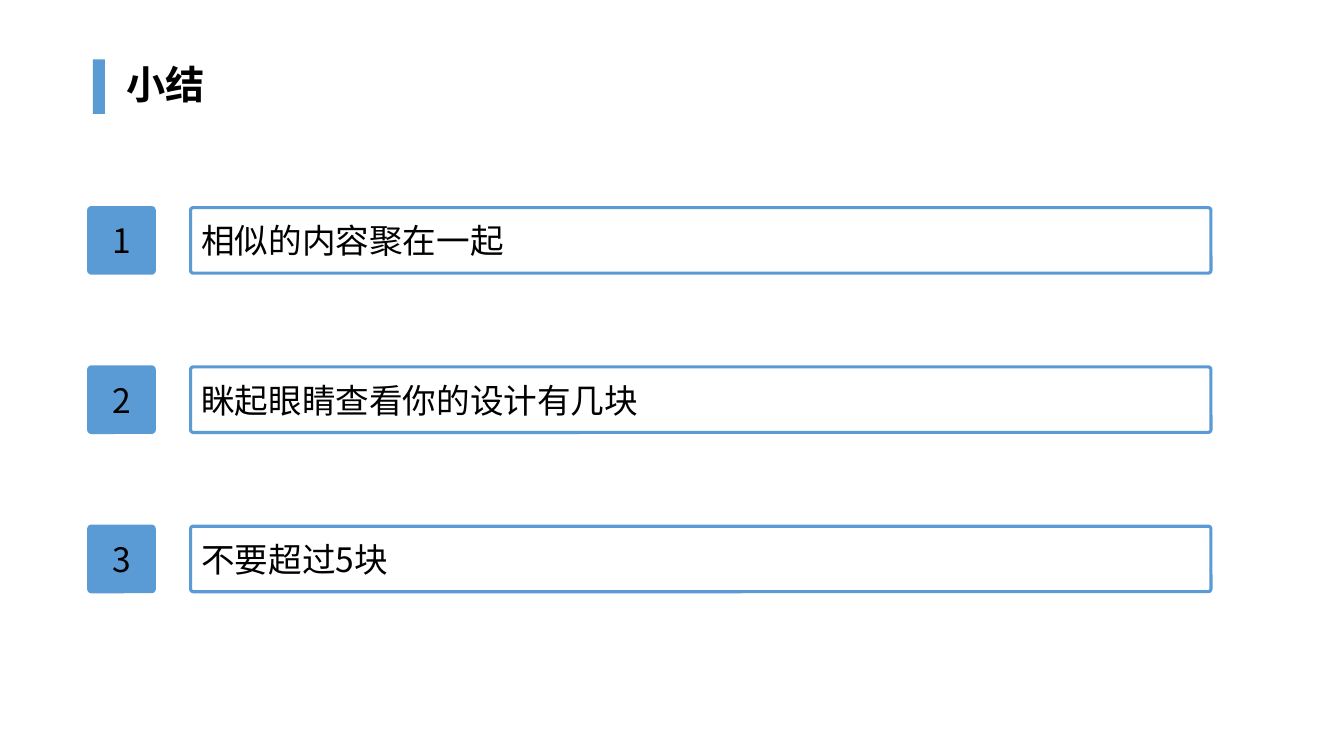
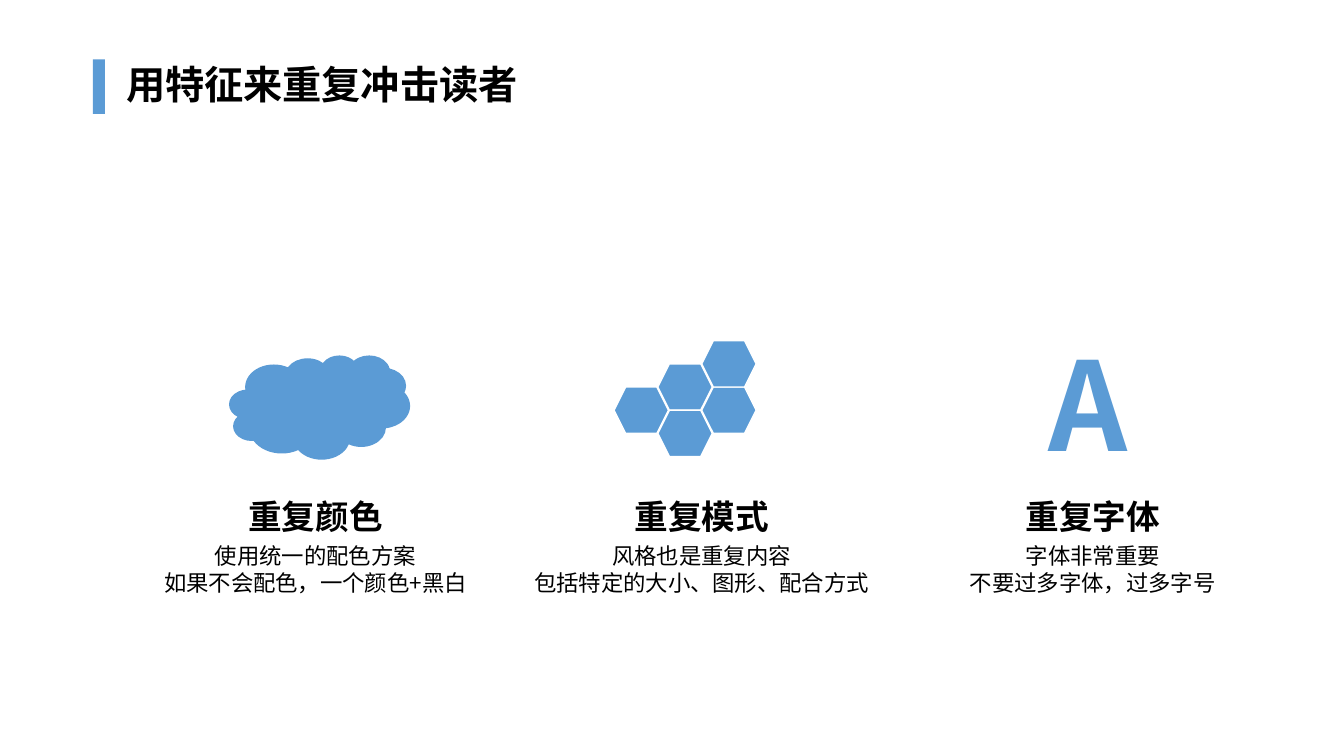
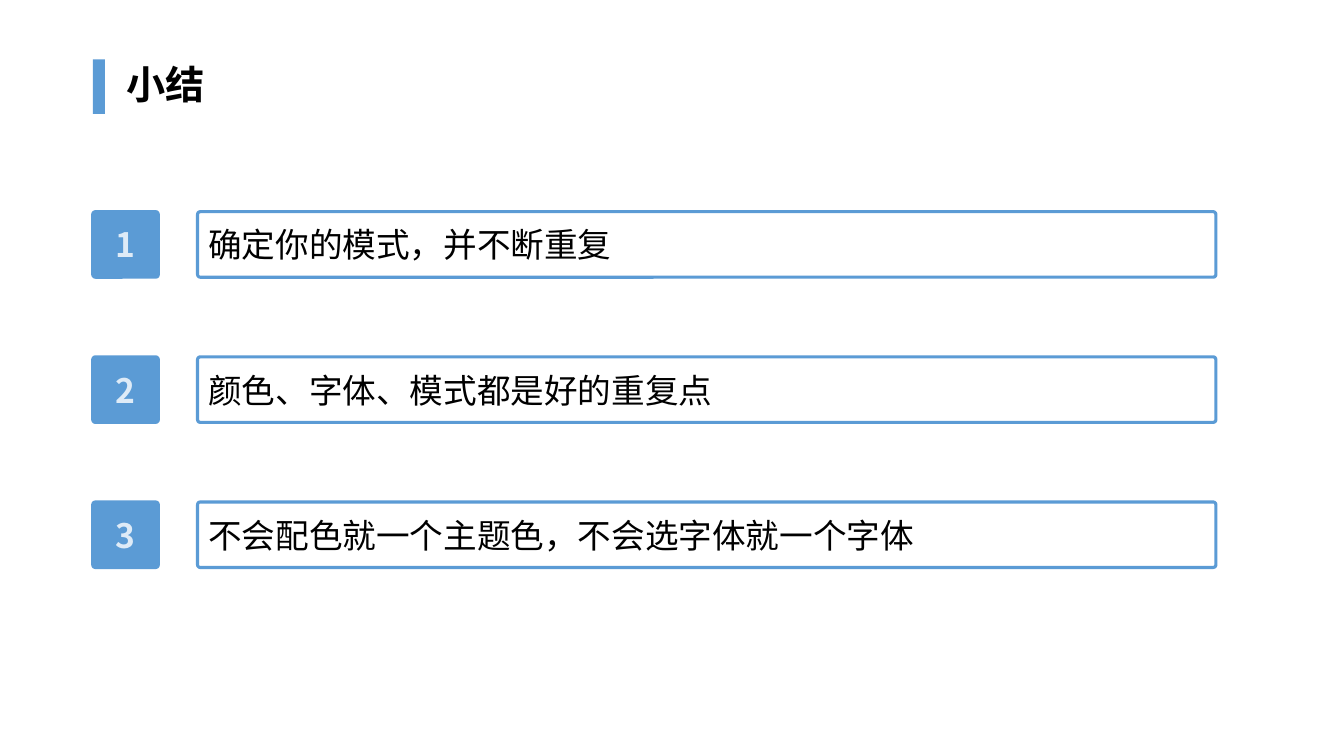
from lxml.etree import SubElement
from pptx import Presentation
from pptx.dml.color import RGBColor
from pptx.enum.shapes import MSO_SHAPE as Shape
from pptx.enum.text import MSO_ANCHOR as Anchor, MSO_AUTO_SIZE as Fit, PP_ALIGN as Align
from pptx.oxml.ns import qn
from pptx.util import Inches, Pt

FONT = "Noto Sans CJK SC"
BLUE, PALE, BLACK, WHITE = "5B9BD5", "DEEBF7", "000000", "FFFFFF"
rgb = RGBColor.from_string


def write(frame, text, size, color=BLACK, bold=False, align=Align.LEFT, space=None):
    frame.text = text
    style = {"size": Pt(size), "bold": bold, "name": FONT}
    for para in frame.paragraphs:
        para.alignment = align
        para.line_spacing = space
        for run in para.runs:
            for key, value in style.items():
                setattr(run.font, key, value)
            run.font.color.rgb = rgb(color)
            # East Asian typeface
            SubElement(run._r.get_or_add_rPr(), qn("a:ea"), typeface=FONT)


def draw(slide, kind, box, fill=None, line=None, width=1):
    shape = slide.shapes.add_shape(kind, *map(Inches, box))
    shape.shadow.inherit = False
    if kind == Shape.ROUNDED_RECTANGLE:
        shape.adjustments[0] = 0.04
    if fill:
        shape.fill.solid()
        shape.fill.fore_color.rgb = rgb(fill)
    else:
        shape.fill.background()
    if line:
        shape.line.color.rgb = rgb(line)
        shape.line.width = Pt(width)
    else:
        shape.line.fill.background()
    shape.text_frame.vertical_anchor = Anchor.MIDDLE
    return shape


deck = Presentation()
deck.slide_width, deck.slide_height = Inches(13.33), Inches(7.5)

# Shared layout: title place and blue bar
layout = deck.slide_layouts[5]
place = {"left": 1.15, "top": 0.6, "width": 11.27, "height": 0.53}
for key, value in place.items():
    setattr(layout.placeholders[0], key, Inches(value))

slides = []
for text in ("小结", "用特征来重复冲击读者", "小结"):
    slide = deck.slides.add_slide(layout)
    frame = slide.shapes.title.text_frame
    frame.auto_size = Fit.NONE
    frame.vertical_anchor = Anchor.MIDDLE
    write(frame, text, 28, bold=True, space=0.9)
    slides.append(slide)

bar = draw(slides[0], Shape.RECTANGLE, (0.92, 0.59, 0.12, 0.54), BLUE)
layout.shapes.element.append(bar.element)

# Summary slides: numbered rows
SIDE = 0.65
lists = [
    {"slide": slides[0], "left": 0.88, "top": 2.06, "step": 1.58,
     "text": 1.89, "width": 10.12, "color": BLACK, "bold": False,
     "rows": ["相似的内容聚在一起", "眯起眼睛查看你的设计有几块", "不要超过5块"]},
    {"slide": slides[2], "left": 0.92, "top": 2.1, "step": 1.44,
     "text": 1.96, "width": 10.1, "color": PALE, "bold": True,
     "rows": ["确定你的模式，并不断重复", "颜色、字体、模式都是好的重复点",
              "不会配色就一个主题色，不会选字体就一个字体"]},
]
for part in lists:
    for i, text in enumerate(part["rows"]):
        top = part["top"] + i * part["step"]
        badge = draw(part["slide"], Shape.ROUNDED_RECTANGLE,
                     (part["left"], top, SIDE, SIDE), BLUE, BLUE, 2.25)
        write(badge.text_frame, str(i + 1), 24, part["color"], part["bold"], Align.CENTER)
        row = draw(part["slide"], Shape.ROUNDED_RECTANGLE,
                   (part["text"], top, part["width"], SIDE), None, BLUE, 2.25)
        write(row.text_frame, text, 24)

# Three columns: heading and detail
slide = slides[1]
columns = [
    (3.13, "重复颜色", "使用统一的配色方案\n如果不会配色，一个颜色+黑白"),
    (6.96, "重复模式", "风格也是重复内容\n包括特定的大小、图形、配合方式"),
    (10.84, "重复字体", "字体非常重要\n不要过多字体，过多字号"),
]
for mid, head, body in columns:
    for text, top, width, size, bold in ((head, 4.79, 3.65, 24, True),
                                         (body, 5.32, 4.04, 16, False)):
        label = draw(slide, Shape.ROUNDED_RECTANGLE, (mid - width / 2, top, width, SIDE))
        write(label.text_frame, text, size, bold=bold, align=Align.CENTER)

# Icons: cloud, honeycomb, letter
draw(slide, Shape.CLOUD, (2.28, 3.53, 1.78, 1.02), BLUE, BLUE)

for col, row in ((1, 1), (2, 2), (1, 3), (0, 2), (2, 0)):
    draw(slide, Shape.HEXAGON, (6.09 + col * 0.435, 3.38 + row * 0.23, 0.54, 0.46), BLUE, WHITE)

letter = slide.shapes.add_textbox(*map(Inches, (10.23, 3.21, 1.13, 1.58)))
letter.text_frame.word_wrap = False
letter.text_frame.auto_size = Fit.SHAPE_TO_FIT_TEXT
write(letter.text_frame, "A", 88, BLUE, True, Align.CENTER)

deck.save("out.pptx")
